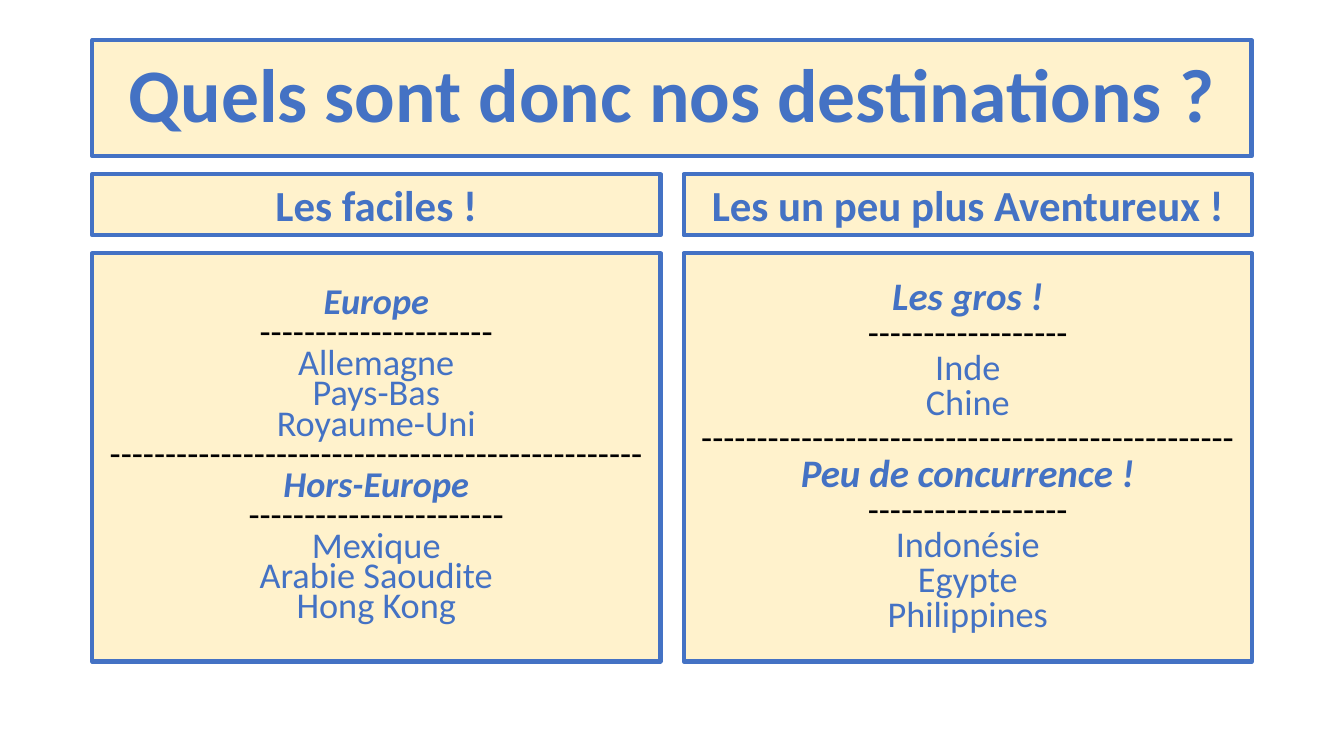
"""Build the slide of easy and more adventurous destinations."""
from pptx import Presentation, util as u
from pptx.dml.color import RGBColor
from pptx.enum import shapes, text

BLUE, CREAM, BLACK = "4472C4", "FFF2CC", "000000"
MID, LOW = text.MSO_ANCHOR.MIDDLE, text.MSO_ANCHOR.BOTTOM


def tint(color, code):
    color.rgb = RGBColor.from_string(code)


def panel(left, top, width, height, anchor, space, before, lines):
    box = slide.shapes.add_shape(shapes.MSO_SHAPE.RECTANGLE,
                                 u.Pt(left), u.Pt(top), u.Pt(width), u.Pt(height))
    box.shadow.inherit = False
    box.fill.solid()
    tint(box.fill.fore_color, CREAM)
    tint(box.line.color, BLUE)
    box.line.width = u.Pt(3)
    frame = box.text_frame
    frame.word_wrap = True
    frame.vertical_anchor = anchor
    para = frame.paragraphs[0]
    look = {"alignment": text.PP_ALIGN.CENTER, "line_spacing": space,
            "space_before": u.Pt(before)}
    for key, val in look.items():
        setattr(para, key, val)
    for row, (words, size, bold, slant) in enumerate(lines):
        if row:
            para.add_line_break()
        run = para.add_run()
        run.text = words
        font = {"name": "Calibri", "size": u.Pt(size), "bold": bold, "italic": slant}
        for key, val in font.items():
            setattr(run.font, key, val)
        tint(run.font.color, BLACK if words.startswith("-") else BLUE)


deck = Presentation()
deck.slide_width, deck.slide_height = u.Pt(960), u.Pt(540)
slide = deck.slides.add_slide(deck.slide_layouts[6])

panel(66, 28.75, 828, 82.8, MID, 0.9, 0,
      [("Quels sont donc nos destinations ?", 54, True, False)])

columns = [
    (65.8, "Les faciles !", 0.7, 25.9, [
        ("Europe", 21, ["Allemagne", "Pays-Bas", "Royaume-Uni"]),
        ("Hors-Europe", 23, ["Mexique", "Arabie Saoudite", "Hong Kong"])]),
    (488.3, "Les un peu plus Aventureux !", 0.8, 27.8, [
        ("Les gros !", 18, ["Inde", "Chine"]),
        ("Peu de concurrence !", 18, ["Indonésie", "Egypte", "Philippines"])]),
]
for left, title, space, size, groups in columns:
    panel(left, 124.5, 406, 43.5, LOW, 0.8, 10, [(title, 30.6, True, False)])
    lines = []
    for head, dashes, lands in groups:
        plain = ["-" * dashes] + lands
        if lines:
            lines.append(("-" * 48, 25.9, False, False))
        lines.append((head, size, True, True))
        lines += [(words, 25.9, False, False) for words in plain]
    panel(left, 181, 406, 291.5, MID, space, 10, lines)

deck.save("out.pptx")
